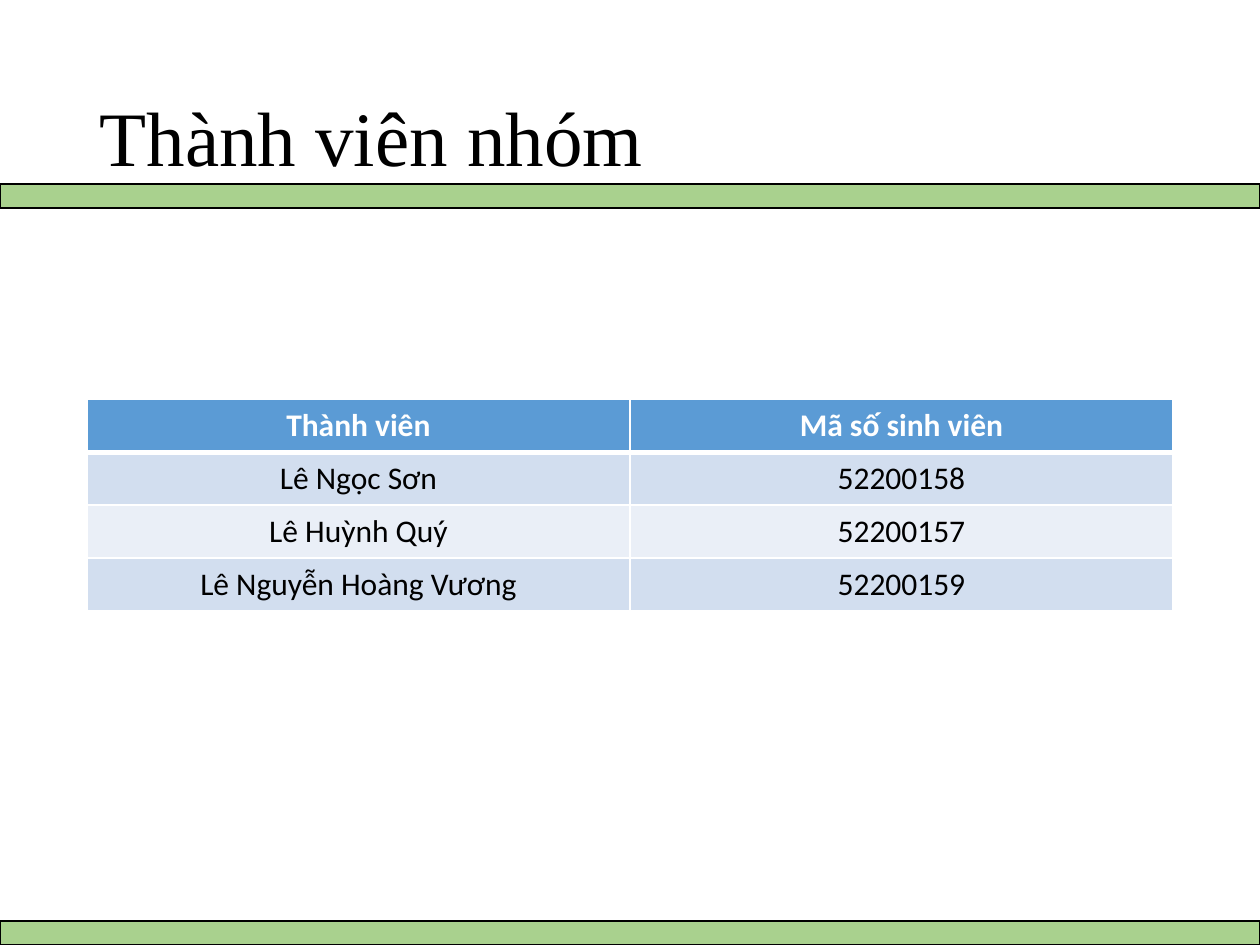
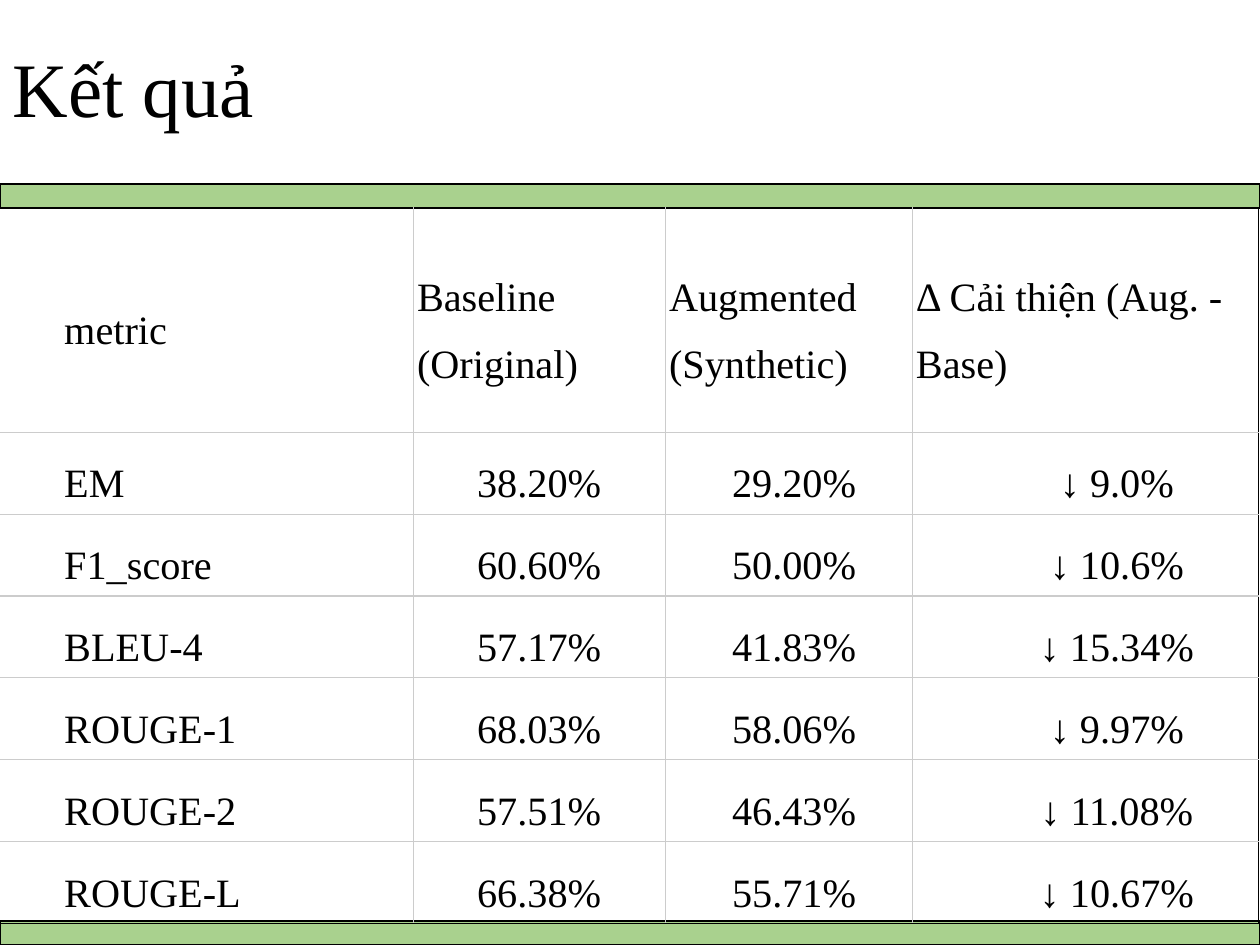
from lxml.etree import SubElement
from pptx import Presentation
from pptx.dml.color import RGBColor
from pptx.enum.shapes import MSO_SHAPE as Shape
from pptx.enum.text import MSO_ANCHOR as Anchor, MSO_AUTO_SIZE as AutoSize, PP_ALIGN as Align
from pptx.oxml.ns import qn
from pptx.util import Inches, Pt

COLORS = {
    "black": "000000", "white": "FFFFFF", "band": "A9D18E", "header": "5B9BD5",
    "odd": "D2DEEF", "even": "EAEFF7", "grid": "CCCCCC",
}
SERIF, SANS = "Times New Roman", "Calibri"
BAND_TOPS = (1.46, 7.31)


def color(name):
    return RGBColor.from_string(COLORS[name])


def write(frame, text, font=SERIF, size=23, ink="black", bold=False,
          align=Align.LEFT, spacing=1.0, indent=0):
    """Put one formatted paragraph into a text frame."""
    para = frame.paragraphs[0]
    para.alignment, para.line_spacing = align, spacing
    if indent:
        para._p.get_or_add_pPr().set("indent", str(Inches(indent)))
    span = para.add_run()
    span.text = text
    span.font.name, span.font.size, span.font.bold = font, Pt(size), bold
    span.font.color.rgb = color(ink)


def set_border(cell, side, ink, width):
    """Draw one side of a cell; call in the order L, R, T, B, before the fill."""
    line = SubElement(cell._tc.get_or_add_tcPr(), qn(f"a:ln{side}"), w=str(Pt(width)))
    fill = SubElement(line, qn("a:solidFill"))
    SubElement(fill, qn("a:srgbClr"), val=COLORS[ink])


class SlideBuilder:
    def __init__(self):
        self.deck = Presentation()
        self.deck.slide_width, self.deck.slide_height = Inches(10), Inches(7.5)
        self.page = None

    def new_page(self, title, left, top):
        title_only = self.deck.slide_layouts[5]
        self.page = self.deck.slides.add_slide(title_only)
        box = self.page.shapes.title
        box.left, box.top = Inches(left), Inches(top)
        box.width, box.height = Inches(8.62), Inches(1.45)
        frame = box.text_frame
        frame.word_wrap, frame.auto_size = True, AutoSize.NONE
        frame.vertical_anchor = Anchor.MIDDLE
        write(frame, title, size=44, spacing=0.9)

    def bands(self):
        for top in BAND_TOPS:
            band = self.page.shapes.add_shape(
                Shape.RECTANGLE, 0, Inches(top), Inches(10), Inches(0.19))
            band.shadow.inherit = False
            band.fill.solid()
            band.fill.fore_color.rgb = color("band")
            band.line.color.rgb = color("black")
            band.line.width = Pt(1)

    def table(self, rows, left, top, widths, heights, text_format, row_fill=None,
              insets=None, grid="white", edge="white", rule=1, header_rule=1):
        """text_format(row, column) gives text options; row_fill(row) a colour name."""
        table = self.page.shapes.add_table(
            len(rows), len(widths), Inches(left), Inches(top),
            Inches(sum(widths)), Inches(sum(heights))).table
        table.horz_banding = False
        for column, width in zip(table.columns, widths):
            column.width = Inches(width)
        for r, (row, height) in enumerate(zip(rows, heights)):
            table.rows[r].height = Inches(height)
            for c, text in enumerate(row):
                cell = table.cell(r, c)
                cell.vertical_anchor = Anchor.MIDDLE
                if insets:
                    cell.margin_left = cell.margin_right = Inches(insets[0])
                    cell.margin_top = cell.margin_bottom = Inches(insets[1])
                # Each side takes its look from the grid line it lies on
                for side, line, last in (("L", c, len(widths)), ("R", c + 1, len(widths)),
                                         ("T", r, len(rows)), ("B", r + 1, len(rows))):
                    under_header = side in "TB" and line == 1
                    set_border(cell, side, edge if line in (0, last) else grid,
                               header_rule if under_header else rule)
                if row_fill:
                    cell.fill.solid()
                    cell.fill.fore_color.rgb = color(row_fill(r))
                else:
                    cell.fill.background()
                write(cell.text_frame, text, **text_format(r, c))


def member_format(row, column):
    return dict(font=SANS, size=18, align=Align.CENTER, bold=row == 0,
                ink="black" if row else "white")


def member_fill(row):
    return "header" if row == 0 else "odd" if row % 2 else "even"


def result_format(row, column):
    indented = column == 0 or (row > 0 and column > 1)
    centered = row > 0 and column in (1, 3)
    return dict(spacing=1.5, indent=0.5 if indented else 0,
                align=Align.CENTER if centered else Align.LEFT)


MEMBERS = [
    ("Thành viên", "Mã số sinh viên"),
    ("Lê Ngọc Sơn", "52200158"),
    ("Lê Huỳnh Quý", "52200157"),
    ("Lê Nguyễn Hoàng Vương", "52200159"),
]
RESULTS = [
    ("metric", "Baseline (Original)", "Augmented (Synthetic)", "Δ Cải thiện (Aug. - Base)"),
    ("EM", "38.20%", "29.20%", "↓ 9.0%"),
    ("F1_score", "60.60%", "50.00%", "↓ 10.6%"),
    ("BLEU-4", "57.17%", "41.83%", "↓ 15.34%"),
    ("ROUGE-1", "68.03%", "58.06%", "↓ 9.97%"),
    ("ROUGE-2", "57.51%", "46.43%", "↓ 11.08%"),
    ("ROUGE-L", "66.38%", "55.71%", "↓ 10.67%"),
]


def main():
    builder = SlideBuilder()

    # Group members
    builder.new_page("Thành viên nhóm", 0.69, 0.4)
    builder.table(MEMBERS, 0.69, 3.17, [4.31] * 2, [0.42] * 4, member_format,
                  row_fill=member_fill, header_rule=3)
    builder.bands()

    # Results
    builder.new_page("Kết quả", 0, 0.01)
    builder.bands()
    builder.table(RESULTS, -0.02, 1.65, [3.3, 2, 1.96, 2.75], [1.78] + [0.65] * 6,
                  result_format, insets=(0.03, 0.02), grid="grid", edge="black",
                  rule=0.75, header_rule=0.75)

    builder.deck.save("out.pptx")


if __name__ == "__main__":
    main()
